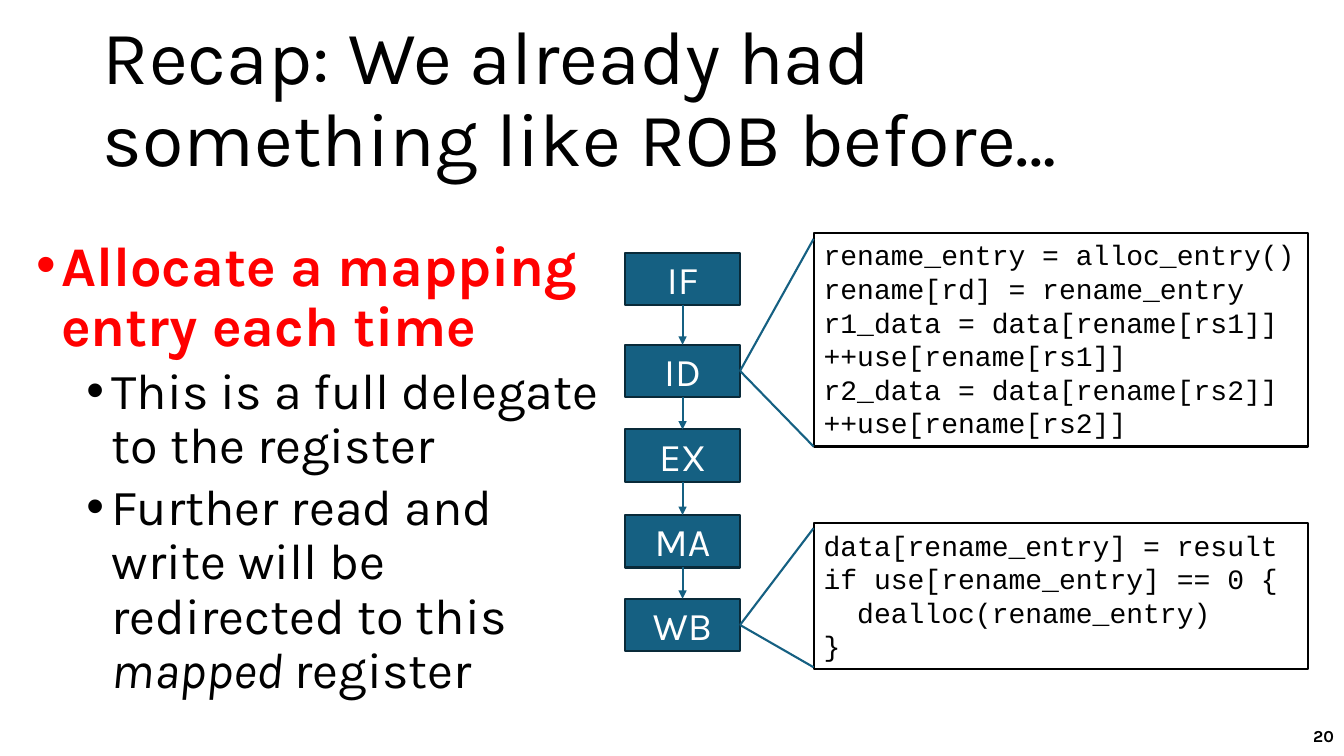
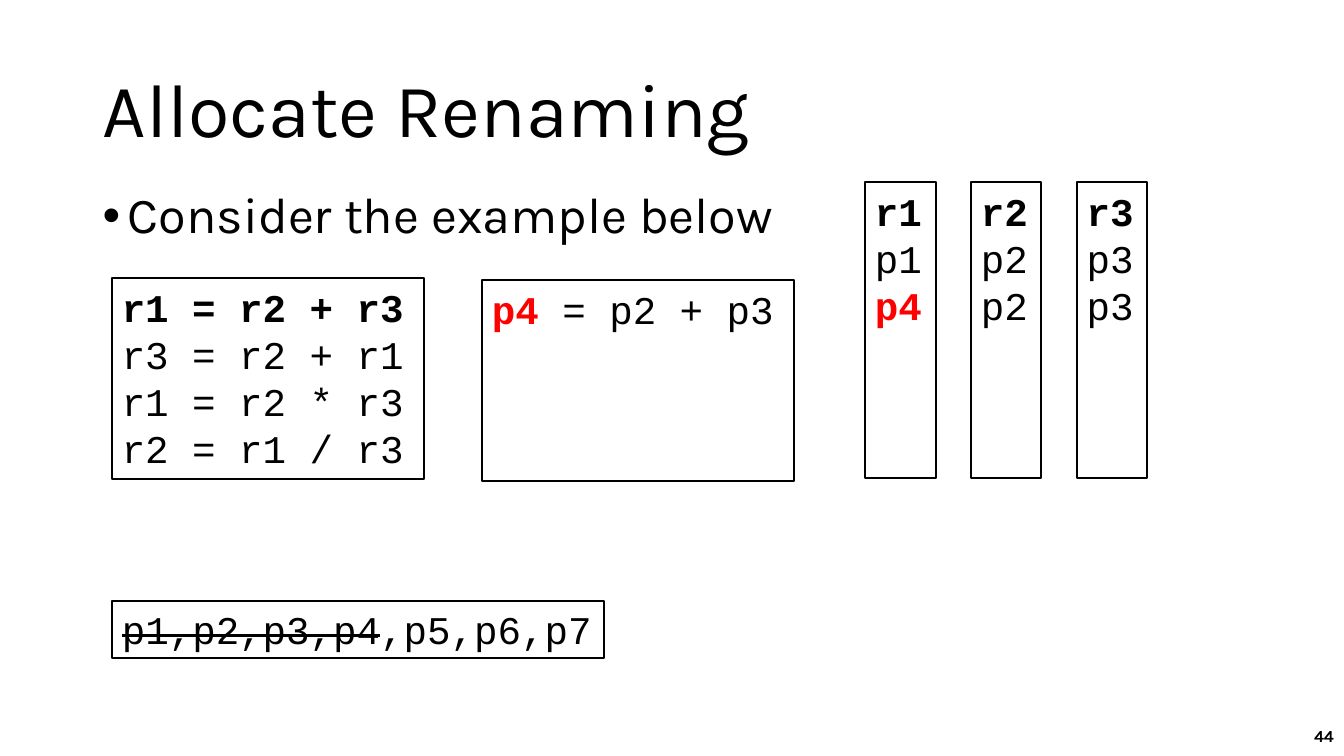
from lxml import etree
from pptx import Presentation
from pptx.dml.color import RGBColor
from pptx.enum.shapes import MSO_CONNECTOR, MSO_SHAPE
from pptx.enum.text import MSO_ANCHOR, MSO_AUTO_SIZE, PP_ALIGN
from pptx.oxml.ns import qn
from pptx.util import Pt

PX = 9144
SLIDE_WIDTH, SLIDE_HEIGHT = 1333, 750
TITLE_ONLY = 5

BLACK = RGBColor(0x00, 0x00, 0x00)
WHITE = RGBColor(0xFF, 0xFF, 0xFF)
RED = RGBColor(0xFF, 0x00, 0x00)
TEAL = RGBColor(0x15, 0x60, 0x82)
DARK_TEAL = RGBColor(0x09, 0x2A, 0x39)

SANS = "Karla"
MONO = "Courier New"

RECTANGLE = MSO_SHAPE.RECTANGLE
STRAIGHT = MSO_CONNECTOR.STRAIGHT
TOP, MIDDLE = MSO_ANCHOR.TOP, MSO_ANCHOR.MIDDLE
LEFT, CENTER, RIGHT = PP_ALIGN.LEFT, PP_ALIGN.CENTER, PP_ALIGN.RIGHT
NO_AUTOFIT = MSO_AUTO_SIZE.NONE
TOP_SITE, BOTTOM_SITE, RIGHT_SITE = 0, 2, 3

LINE_WIDTH = Pt(1.5)
BOLD = {"bold": True}
RED_BOLD = {"bold": True, "color": RED}


def px(*lengths):
    return [length * PX for length in lengths]


def add_run(paragraph, text, size, font=SANS, color=BLACK, bold=False, italic=False, strike=False):
    run = paragraph.add_run()
    run.text = text
    run.font.name = font
    run.font.size = Pt(size)
    run.font.bold = bold
    run.font.italic = italic
    run.font.color.rgb = color
    if strike:
        run._r.get_or_add_rPr().set("strike", "sngStrike")


def prepare_frame(shape, anchor=TOP):
    frame = shape.text_frame
    frame.word_wrap = True
    frame.auto_size = NO_AUTOFIT
    frame.vertical_anchor = anchor
    return frame


def next_paragraph(frame, index):
    return frame.add_paragraph() if index else frame.paragraphs[0]


def add_slide(presentation, title, title_top, title_height, number):
    slide = presentation.slides.add_slide(presentation.slide_layouts[TITLE_ONLY])
    shape = slide.shapes.title
    shape.left, shape.top, shape.width, shape.height = px(92, title_top, 1150, title_height)
    paragraph = prepare_frame(shape, MIDDLE).paragraphs[0]
    paragraph.alignment = LEFT
    paragraph.line_spacing = 0.9
    add_run(paragraph, title, 54)

    footer = slide.shapes.add_textbox(*px(1033, 710, 300, 40))
    paragraph = prepare_frame(footer, MIDDLE).paragraphs[0]
    paragraph.alignment = RIGHT
    add_run(paragraph, number, 12, bold=True)
    return slide


def add_rectangle(slide, box, fill, line):
    shape = slide.shapes.add_shape(RECTANGLE, *px(*box))
    shape.shadow.inherit = False
    shape.fill.solid()
    shape.fill.fore_color.rgb = fill
    shape.line.color.rgb = line
    shape.line.width = LINE_WIDTH
    return shape


def add_code(slide, box, size, lines):
    frame = prepare_frame(add_rectangle(slide, box, WHITE, BLACK))
    for index, runs in enumerate(lines):
        paragraph = next_paragraph(frame, index)
        paragraph.alignment = LEFT
        for text, style in runs:
            add_run(paragraph, text, size, MONO, **style)


def plain(*lines):
    return [[(line, {})] for line in lines]


def add_stage(slide, top, name):
    shape = add_rectangle(slide, (620, top, 114, 52), TEAL, DARK_TEAL)
    paragraph = prepare_frame(shape, MIDDLE).paragraphs[0]
    paragraph.alignment = CENTER
    add_run(paragraph, name, 28, color=WHITE)
    return shape


def add_line(slide, start=(0, 0), end=(0, 0)):
    connector = slide.shapes.add_connector(STRAIGHT, *px(*start, *end))
    connector.line.color.rgb = TEAL
    connector.line.width = LINE_WIDTH
    etree.SubElement(connector._element.spPr, qn("a:effectLst"))
    return connector


def add_arrow(slide, source, target):
    connector = add_line(slide)
    connector.begin_connect(source, BOTTOM_SITE)
    connector.end_connect(target, TOP_SITE)
    etree.SubElement(connector.line._get_or_add_ln(), qn("a:tailEnd"), type="triangle")


def add_callout(slide, stage, left, tops):
    for top in tops:
        add_line(slide, end=(left, top)).begin_connect(stage, RIGHT_SITE)


def add_bullets(slide, box, items):
    frame = prepare_frame(slide.shapes.add_textbox(*px(*box)))
    for index, (level, size, runs) in enumerate(items):
        paragraph = next_paragraph(frame, index)
        paragraph.level = level
        properties = paragraph._p.get_or_add_pPr()
        properties.set("marL", str((25 + 50 * level) * PX))
        properties.set("indent", str(-25 * PX))
        etree.SubElement(properties, qn("a:buFont"), typeface="Arial")
        etree.SubElement(properties, qn("a:buChar"), char="•")
        paragraph.line_spacing = 0.9
        if index:
            paragraph.space_before = Pt(5 if level else 10)
        for text, style in runs:
            add_run(paragraph, text, size, **style)


def build_recap(presentation):
    slide = add_slide(presentation, "Recap: We already had something like ROB before…", 0, 200, "20")
    code_left, code_width = 807, 490
    add_code(slide, (code_left, 231, code_width, 212), 20, plain(
        "rename_entry = alloc_entry()",
        "rename[rd] = rename_entry",
        "r1_data = data[rename[rs1]]",
        "++use[rename[rs1]]",
        "r2_data = data[rename[rs2]]",
        "++use[rename[rs2]]",
    ))
    add_code(slide, (code_left, 519, code_width, 145), 20, plain(
        "data[rename_entry] = result",
        "if use[rename_entry] == 0 {",
        "  dealloc(rename_entry)",
        "}",
    ))

    stage_tops = {"IF": 251, "ID": 342, "EX": 426, "MA": 511, "WB": 594}
    stages = {name: add_stage(slide, top, name) for name, top in stage_tops.items()}
    ordered = list(stages.values())
    for source, target in zip(ordered, ordered[1:]):
        add_arrow(slide, source, target)
    add_callout(slide, stages["ID"], code_left, (237, 443))
    add_callout(slide, stages["WB"], code_left, (524, 662))

    add_bullets(slide, (26, 231, 584, 476), [
        (0, 40, [("Allocate a mapping entry each time", RED_BOLD)]),
        (1, 36, [("This is a full delegate to the register", {})]),
        (1, 36, [
            ("Further read and write will be redirected to this ", {}),
            ("mapped ", {"italic": True}),
            ("register", {}),
        ]),
    ])


def build_renaming(presentation):
    slide = add_slide(presentation, "Allocate Renaming", 40, 145, "44")
    add_bullets(slide, (92, 184, 1150, 76), [(0, 36, [("Consider the example below", {})])])
    add_code(slide, (111, 276, 310, 199), 28, [
        [("r1 = r2 + r3", BOLD)],
        *plain("r3 = r2 + r1", "r1 = r2 * r3", "r2 = r1 / r3"),
    ])
    add_code(slide, (478, 278, 310, 199), 28, [[("p4 ", RED_BOLD), ("= p2 + p3", {})]])

    mappings = [
        ("r1", "p1", ("p4", RED_BOLD)),
        ("r2", "p2", ("p2", {})),
        ("r3", "p3", ("p3", {})),
    ]
    for column, (register, first, latest) in enumerate(mappings):
        add_code(slide, (858 + 105 * column, 181, 70, 293), 28,
                 [[(register, BOLD)], [(first, {})], [latest]])

    add_code(slide, (111, 596, 488, 57), 28, [
        [("p1,p2,p3,p4", {"strike": True}), (",p5,p6,p7", {})],
    ])


def main():
    presentation = Presentation()
    presentation.slide_width, presentation.slide_height = px(SLIDE_WIDTH, SLIDE_HEIGHT)
    build_recap(presentation)
    build_renaming(presentation)
    presentation.save("out.pptx")


if __name__ == "__main__":
    main()
